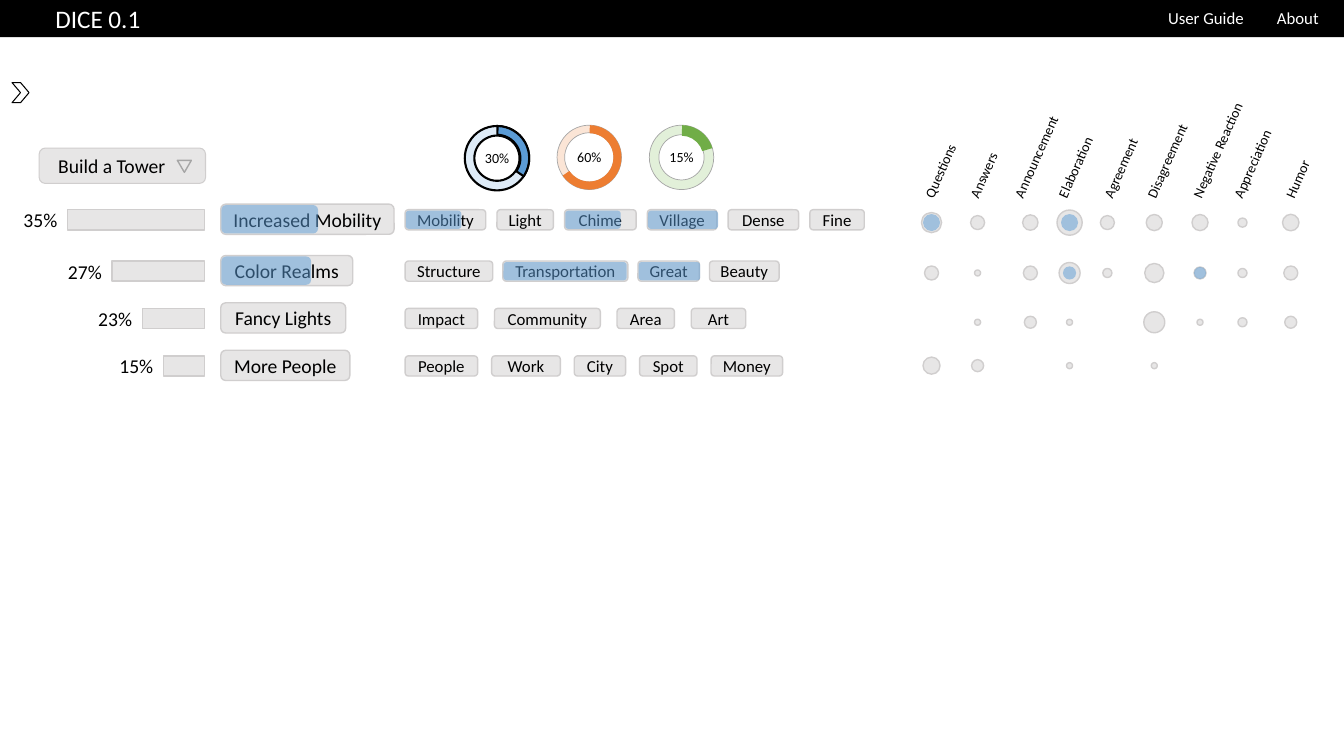
from lxml.etree import SubElement
from pptx import Presentation
from pptx.dml.color import RGBColor
from pptx.enum.shapes import MSO_SHAPE as Geo
from pptx.enum.text import MSO_ANCHOR as Anchor, MSO_AUTO_SIZE as Auto, PP_ALIGN as Align
from pptx.oxml.ns import qn
from pptx.util import Pt
from math import cos, radians, sin

GREY, EDGE, DARK, BLUE = "E7E6E6", "D0CECE", "A6A6A6", "5B9BD5"
BLACK, WHITE = "000000", "FFFFFF"
BAR_END, TOPIC_X, TAG_X = 146.2, 157.7, 289.4
ROW_H = 14.4

# Topics: share, bar width, chip top, dot centre, name, width, glow width,
# gap between tags, tags (name, width, glow width)
TOPICS = [
    ("35%", 98, 149.8, 159, "Increased Mobility", 123.8, 69, 8,
     [("Mobility", 57.6, 39.6), ("Light", 40.3, 0), ("Chime", 51.1, 39.6),
      ("Village", 49.7, 50), ("Dense", 50.4, 0), ("Fine", 38.9, 0)]),
    ("27%", 66.2, 186.5, 195, "Color Realms", 94.3, 64, 7.2,
     [("Structure", 62.6, 0), ("Transportation", 89.3, 88),
      ("Great", 43.9, 43.9), ("Beauty", 49.7, 0)]),
    ("23%", 44.6, 220.3, 230.2, "Fancy Lights", 89.3, 0, 12,
     [("Impact", 51.8, 0), ("Community", 75.6, 0), ("Area", 41, 0), ("Art", 38.9, 0)]),
    ("15%", 29.5, 254.2, 261.2, "More People", 92.2, 0, 10,
     [("People", 51.8, 0), ("Work", 49, 0), ("City", 36.7, 0),
      ("Spot", 41, 0), ("Money", 51.1, 0)]),
]

# Talk kinds: name, text width, foot of the slanted text, dot centre,
# dot size per topic, blue core per topic
KINDS = [
    ("Questions", 56.2, 660.3, 665.4, [14.4, 10, 0, 12.2], [12.2]),
    ("Answers", 49, 692.6, 698.3, [10, 4.3, 4.3, 8.6], []),
    ("Announcement", 77.8, 724.3, 736, [11, 10, 8.6, 0], []),
    ("Elaboration", 61.9, 755.6, 764, [18, 15, 4.3, 4.3], [12.2, 9.4]),
    ("Agreement", 60.5, 788.3, 791, [10, 6.5, 0, 0], []),
    ("Disagreement", 72, 819.1, 824.5, [11.5, 13.7, 15, 4.3], []),
    ("Negative Reaction", 89.3, 851.8, 857.2, [11.5, 8.6, 4.3, 0], [0, 8.6]),
    ("Appreciation", 67, 881, 887.5, [6.5, 6.5, 6.5, 0], []),
    ("Humor", 43.2, 918, 922, [11.8, 10, 8.6, 0], []),
]

# Rings: label, top, ring width, pale fill, line, line width, arc fill, arc end, arc width
RINGS = [
    ("30%", 90, 0.149, "DEEBF7", BLACK, 1.5, BLUE, 182.418, 0.137),
    ("60%", 89.4, 0.118, "FBE5D6", DARK, 0.5, "ED7D31", 33.297, 0.125),
    ("15%", 89.4, 0.149, "E2F0D9", DARK, 0.5, "70AD47", 151.969, 0.164),
]


def paint(hue):
    return RGBColor.from_string(hue)


def write(shape, text, size, hue=BLACK, align=Align.CENTER, inset=0):
    frame = shape.text_frame
    look = dict(auto_size=Auto.NONE, word_wrap=False, vertical_anchor=Anchor.MIDDLE,
                margin_left=Pt(inset), margin_right=0, margin_top=0, margin_bottom=0)
    for key, val in look.items():
        setattr(frame, key, val)
    para = frame.paragraphs[0]
    para.alignment = align
    run = para.add_run()
    run.text = text
    for key, val in dict(name="Calibri", size=Pt(size), bold=False).items():
        setattr(run.font, key, val)
    run.font.color.rgb = paint(hue)


def draw(slide, geo, box, fill=GREY, line=EDGE, weight=1, turn=0, adj=()):
    shape = slide.shapes.add_shape(geo, *map(Pt, box))
    shape.shadow.inherit = False
    shape.rotation = turn
    for i, val in enumerate(adj):
        shape.adjustments[i] = val
    if fill:
        shape.fill.solid()
        shape.fill.fore_color.rgb = paint(fill)
    else:
        shape.fill.background()
    if line:
        shape.line.color.rgb = paint(line)
        shape.line.width = Pt(weight)
    else:
        shape.line.fill.background()
    return shape


def glow(slide, geo, box):
    shape = draw(slide, geo, box, BLUE, None)
    tint = shape.element.spPr.find(qn("a:solidFill")).find(qn("a:srgbClr"))
    SubElement(tint, qn("a:alpha")).set("val", "50000")


def label(slide, box, text, size, hue=BLACK, turn=0):
    shape = slide.shapes.add_textbox(*map(Pt, box))
    shape.rotation = turn
    write(shape, text, size, hue, Align.LEFT, 7.2)


def chip(slide, x, y, wide, high, text, size, lit):
    write(draw(slide, Geo.ROUNDED_RECTANGLE, (x, y, wide, high)), text, size)
    if lit:
        glow(slide, Geo.ROUNDED_RECTANGLE, (x + 0.5, y + 0.7, lit, high - 1.4))


def disc(x, y, size):
    return x - size / 2, y - size / 2, size, size


def header(slide):
    title = slide.shapes.title
    for key, val in dict(left=0, top=0, width=Pt(960), height=Pt(26.6)).items():
        setattr(title, key, val)
    title.fill.solid()
    title.fill.fore_color.rgb = paint(BLACK)
    write(title, "DICE 0.1", 18, WHITE, Align.LEFT, 39.5)
    label(slide, (827.3, 2.2, 69, 21.6), "User Guide", 12, WHITE)
    label(slide, (905, 2.2, 44.6, 21.6), "About", 12, WHITE)


def picker(slide):
    draw(slide, Geo.CHEVRON, (8.6, 59, 12.2, 14.4), None, BLACK, 0.75)
    box = draw(slide, Geo.ROUNDED_RECTANGLE, (28, 105.8, 118.8, 25.2), weight=0.75)
    write(box, "Build a Tower", 14, align=Align.LEFT, inset=12.3)
    draw(slide, Geo.ISOSCELES_TRIANGLE, (126.7, 114.5, 10, 8.6), line=DARK, turn=180)


def rings(slide):
    for i, (text, top, band, pale, line, weight, hue, end, arc) in enumerate(RINGS):
        box = (332 + 65.9 * i, top, 46, 46)
        ring = draw(slide, Geo.DONUT, box, pale, line, weight, adj=[band])
        write(ring, text, 10)
        edge = BLACK if line == BLACK else None
        draw(slide, Geo.BLOCK_ARC, box, hue, edge, weight, 90, [108.565, end, arc])


def topics(slide):
    for share, bar, y, _, name, wide, lit, gap, tags in TOPICS:
        left = BAR_END - bar
        draw(slide, Geo.RECTANGLE, (left, y, bar, ROW_H))
        label(slide, (left - 38.5, y - 5, 38.9, 24.5), share, 14)
        chip(slide, TOPIC_X, y - 4, wide, 21.6, name, 14, lit)
        x = TAG_X
        for tag, width, shine in tags:
            chip(slide, x, y, width, ROW_H, tag, 12, shine)
            x += width + gap


def kinds(slide):
    tilt, foot, high = 66, 147, 19.4
    for name, wide, start, x, sizes, cores in KINDS:
        # The slanted text rises from its foot
        mid_x = start + wide / 2 * cos(radians(tilt))
        mid_y = foot - wide / 2 * sin(radians(tilt))
        label(slide, (mid_x - wide / 2, mid_y - high / 2, wide, high), name, 10, turn=-tilt)
        mids = [topic[3] for topic in TOPICS]
        for y, size in zip(mids, sizes):
            if size:
                draw(slide, Geo.OVAL, disc(x, y, size))
        for y, size in zip(mids, cores):
            if size:
                glow(slide, Geo.OVAL, disc(x, y, size))


def main():
    deck = Presentation()
    deck.slide_width, deck.slide_height = Pt(960), Pt(540)
    slide = deck.slides.add_slide(deck.slide_layouts[5])
    header(slide)
    picker(slide)
    rings(slide)
    topics(slide)
    kinds(slide)
    deck.save("out.pptx")


main()
